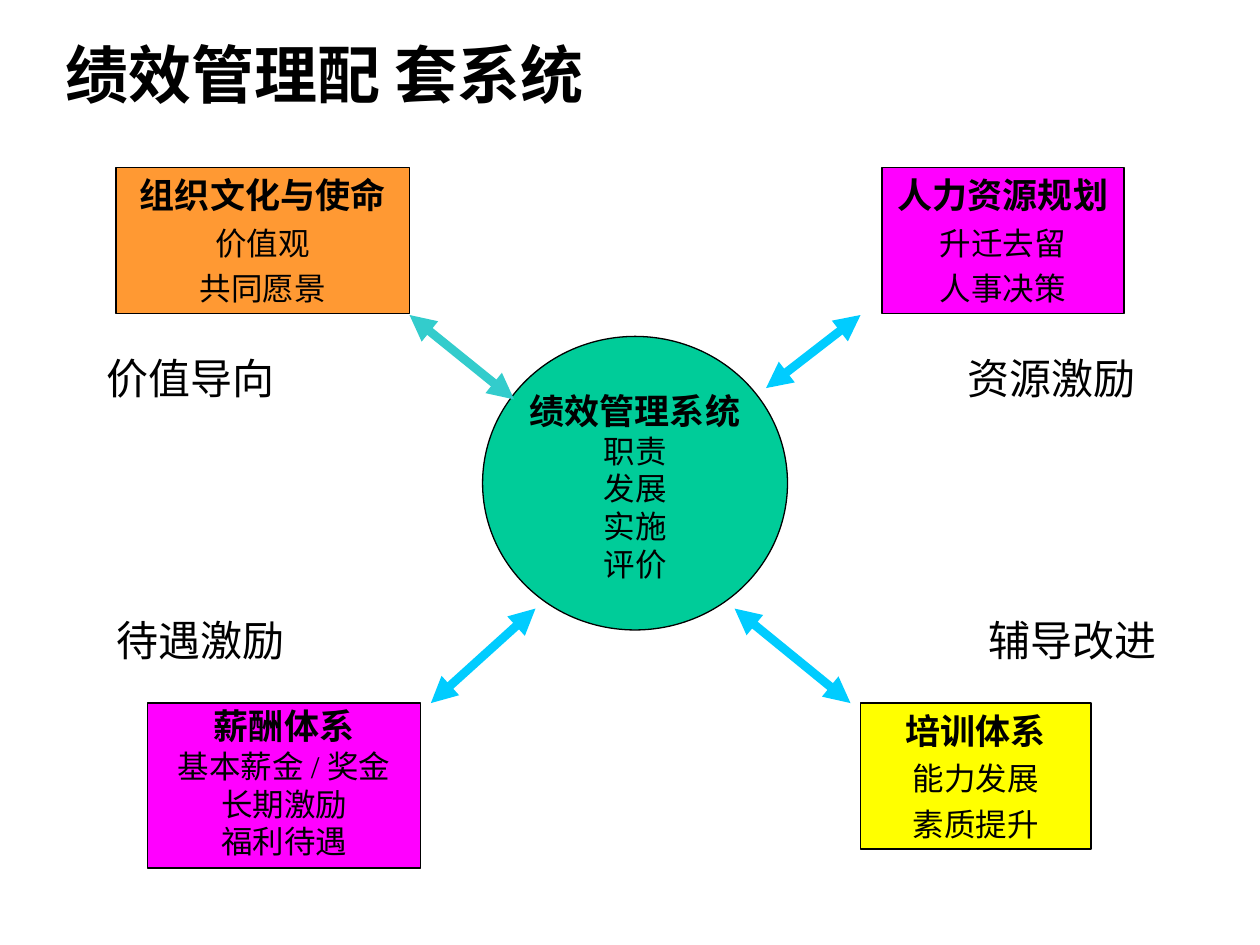
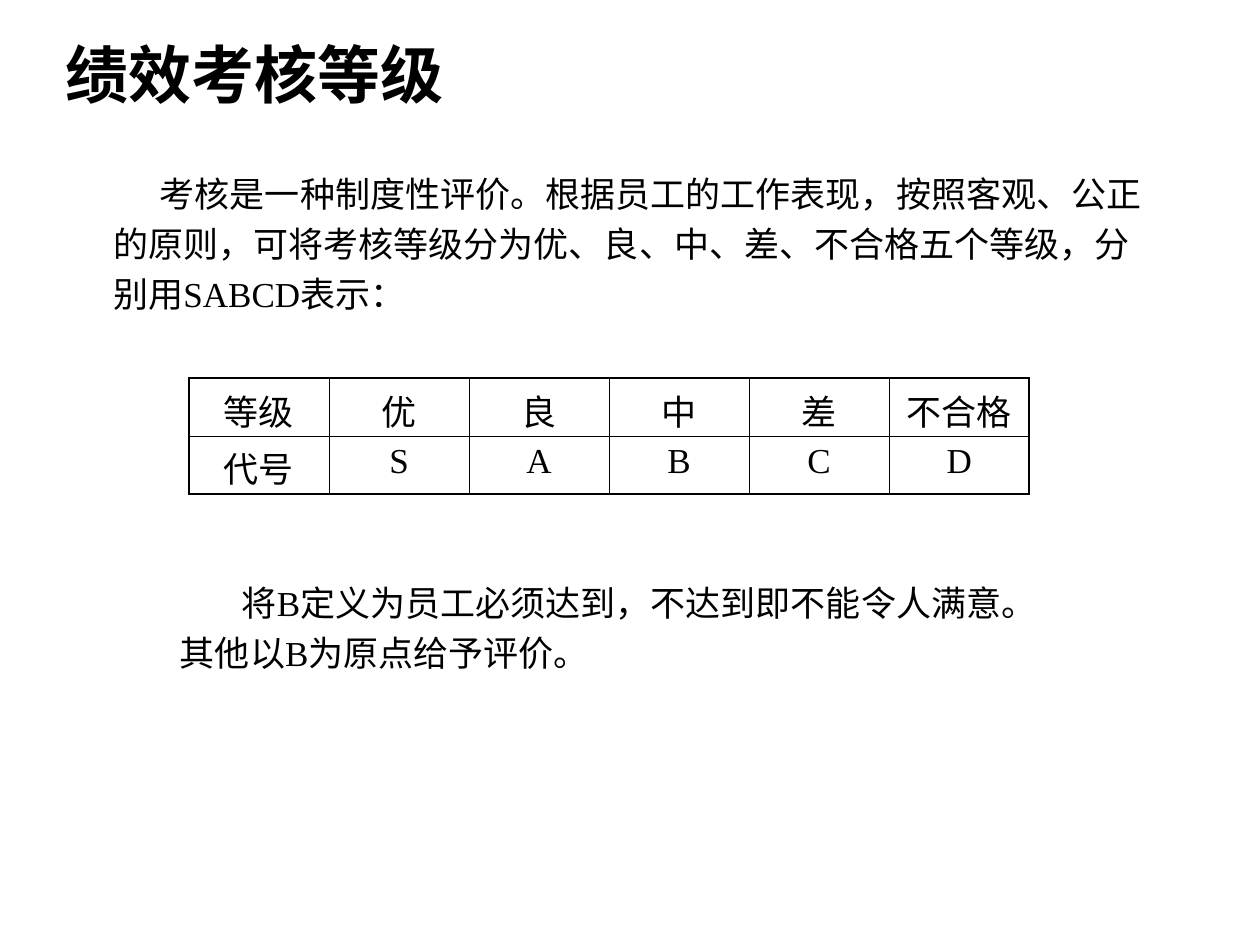
from dataclasses import dataclass

from pptx import Presentation
from pptx.dml.color import RGBColor
from pptx.enum.shapes import MSO_CONNECTOR as CONN, MSO_SHAPE as SHAPE
from pptx.enum.text import MSO_ANCHOR as ANCHOR, PP_ALIGN as ALIGN
from pptx.oxml.ns import qn
from pptx.util import Inches, Pt
from lxml.etree import SubElement


@dataclass(frozen=True)
class Theme:
    font: str = "Times New Roman"
    ink: str = "000000"
    orange: str = "FF9933"
    magenta: str = "FF00FF"
    yellow: str = "FFFF00"
    green: str = "00CC99"
    teal: str = "33CCCC"
    sky: str = "00CCFF"
    title: int = 36
    label: int = 24
    heading: int = 20
    body: int = 20
    item: int = 18
    outline: float = 0.75
    arrow: float = 5
    table_edge: float = 1.08
    table_rule: float = 0.45


THEME = Theme()


class Deck:
    def __init__(self, theme):
        self.theme = theme
        self.prs = Presentation()
        self.prs.slide_width = Inches(10)
        self.prs.slide_height = Inches(7.5)
        self.slide = None

    def add_slide(self, title):
        self.slide = self.prs.slides.add_slide(self.prs.slide_layouts[6])
        self.text(title, 0.42, 0.25, 9.17, 0.67, self.theme.title, bold=True, anchor=ANCHOR.MIDDLE)

    def style(self, p, size, bold=False, align=ALIGN.LEFT):
        p.alignment = align
        p.font.name = self.theme.font
        p.font.size = Pt(size)
        p.font.bold = bold
        p.font.color.rgb = RGBColor.from_string(self.theme.ink)

    def text(self, text, x, y, w, h, size, bold=False, anchor=ANCHOR.TOP,
             spacing=None, margin=0, indent=0):
        tf = self.slide.shapes.add_textbox(Inches(x), Inches(y), Inches(w), Inches(h)).text_frame
        tf.word_wrap = True
        tf.vertical_anchor = anchor
        p = tf.paragraphs[0]
        p.text = text
        if spacing:
            p.line_spacing = spacing
        if margin or indent:
            pPr = p._p.get_or_add_pPr()
            pPr.set("marL", str(Inches(margin)))
            pPr.set("indent", str(Inches(indent)))
        self.style(p, size, bold)

    def label(self, text, x, y):
        self.text(text, x, y, 1.75, 0.5, self.theme.label)

    def node(self, kind, lines, x, y, w, h, fill, gap=0, spacing=None):
        sp = self.slide.shapes.add_shape(kind, Inches(x), Inches(y), Inches(w), Inches(h))
        sp.shadow.inherit = False
        sp.fill.solid()
        sp.fill.fore_color.rgb = RGBColor.from_string(fill)
        sp.line.color.rgb = RGBColor.from_string(self.theme.ink)
        sp.line.width = Pt(self.theme.outline)
        tf = sp.text_frame
        tf.word_wrap = True
        tf.vertical_anchor = ANCHOR.TOP
        for i, line in enumerate(lines):
            p = tf.paragraphs[0] if i == 0 else tf.add_paragraph()
            p.text = line
            if spacing:
                p.line_spacing = spacing
            if i:
                p.space_before = Pt(gap)
            size = self.theme.item if i else self.theme.heading
            self.style(p, size, i == 0, ALIGN.CENTER)
        return sp

    def box(self, lines, x, y, w, h, fill, gap=4.5, spacing=None):
        self.node(SHAPE.RECTANGLE, lines, x, y, w, h, fill, gap, spacing)

    def hub(self, lines, x, y, w, h, fill):
        tf = self.node(SHAPE.OVAL, lines, x, y, w, h, fill).text_frame
        tf.word_wrap = False
        tf.vertical_anchor = ANCHOR.MIDDLE
        tf.margin_bottom = 0

    def arrow(self, x1, y1, x2, y2, color):
        cn = self.slide.shapes.add_connector(
            CONN.STRAIGHT, Inches(x1), Inches(y1), Inches(x2), Inches(y2))
        cn.line.color.rgb = RGBColor.from_string(color)
        cn.line.width = Pt(self.theme.arrow)
        ln = cn.line._get_or_add_ln()
        for end in ("a:headEnd", "a:tailEnd"):
            SubElement(ln, qn(end), type="triangle")
        SubElement(cn._element.spPr, qn("a:effectLst"))

    def border(self, cell, side, width):
        ln = SubElement(cell._tc.get_or_add_tcPr(), qn(f"a:ln{side}"), w=str(Pt(width)))
        SubElement(SubElement(ln, qn("a:solidFill")), qn("a:srgbClr"), val=self.theme.ink)

    def table(self, rows, x, y, w, h):
        n_rows, n_cols = len(rows), len(rows[0])
        table = self.slide.shapes.add_table(
            n_rows, n_cols, Inches(x), Inches(y), Inches(w), Inches(h)).table
        table.first_row = table.horz_banding = False
        for r, row in enumerate(rows):
            for c, value in enumerate(row):
                cell = table.cell(r, c)
                cell.text = value
                self.style(cell.text_frame.paragraphs[0], self.theme.body, align=ALIGN.CENTER)
                edges = {"L": c == 0, "R": c == n_cols - 1, "T": r == 0, "B": r == n_rows - 1}
                for side, outer in edges.items():
                    self.border(cell, side, self.theme.table_edge if outer else self.theme.table_rule)
                cell.fill.background()


def support_system(deck):
    t = deck.theme
    deck.add_slide("绩效管理配 套系统")
    deck.box(["人力资源规划", "升迁去留", "人事决策"], 7, 1.33, 1.92, 1.16, t.magenta)
    deck.box(["组织文化与使命", "价值观", "共同愿景"], 0.92, 1.33, 2.33, 1.16, t.orange)
    deck.box(["薪酬体系", "基本薪金 / 奖金", "长期激励", "福利待遇"],
             1.17, 5.58, 2.17, 1.31, t.magenta, gap=2.2, spacing=0.9)
    deck.box(["培训体系", "能力发展", "素质提升"], 6.83, 5.58, 1.83, 1.16, t.yellow)
    deck.hub(["绩效管理系统", "职责", "发展", "实施", "评价"], 3.83, 2.67, 2.42, 2.33, t.green)
    deck.arrow(3.25, 2.5, 4.08, 3.17, t.teal)
    deck.arrow(3.42, 5.58, 4.25, 4.83, t.sky)
    deck.arrow(5.83, 4.83, 6.75, 5.58, t.sky)
    deck.arrow(6.08, 3.08, 6.83, 2.5, t.sky)
    deck.label("辅导改进", 7.75, 4.83)
    deck.label("资源激励", 7.58, 2.75)
    deck.label("待遇激励", 0.83, 4.83)
    deck.label("价值导向", 0.75, 2.75)


def rating_levels(deck):
    size = deck.theme.body
    deck.add_slide("绩效考核等级")
    deck.text("考核是一种制度性评价。根据员工的工作表现，按照客观、公正的原则，"
              "可将考核等级分为优、良、中、差、不合格五个等级，分别用SABCD表示：",
              0.42, 1.25, 8.75, 1.33, size, spacing=1.2, margin=0.38, indent=0.37)
    deck.table([["等级", "优", "良", "中", "差", "不合格"],
                ["代号", "S", "A", "B", "C", "D"]], 1.5, 3, 6.67, 0.92)
    deck.text("将B定义为员工必须达到，不达到即不能令人满意。其他以B为原点给予评价。",
              1.33, 4.5, 7, 0.9, size, spacing=1.2, indent=0.49)


def main():
    deck = Deck(THEME)
    support_system(deck)
    rating_levels(deck)
    deck.prs.save("out.pptx")


if __name__ == "__main__":
    main()
